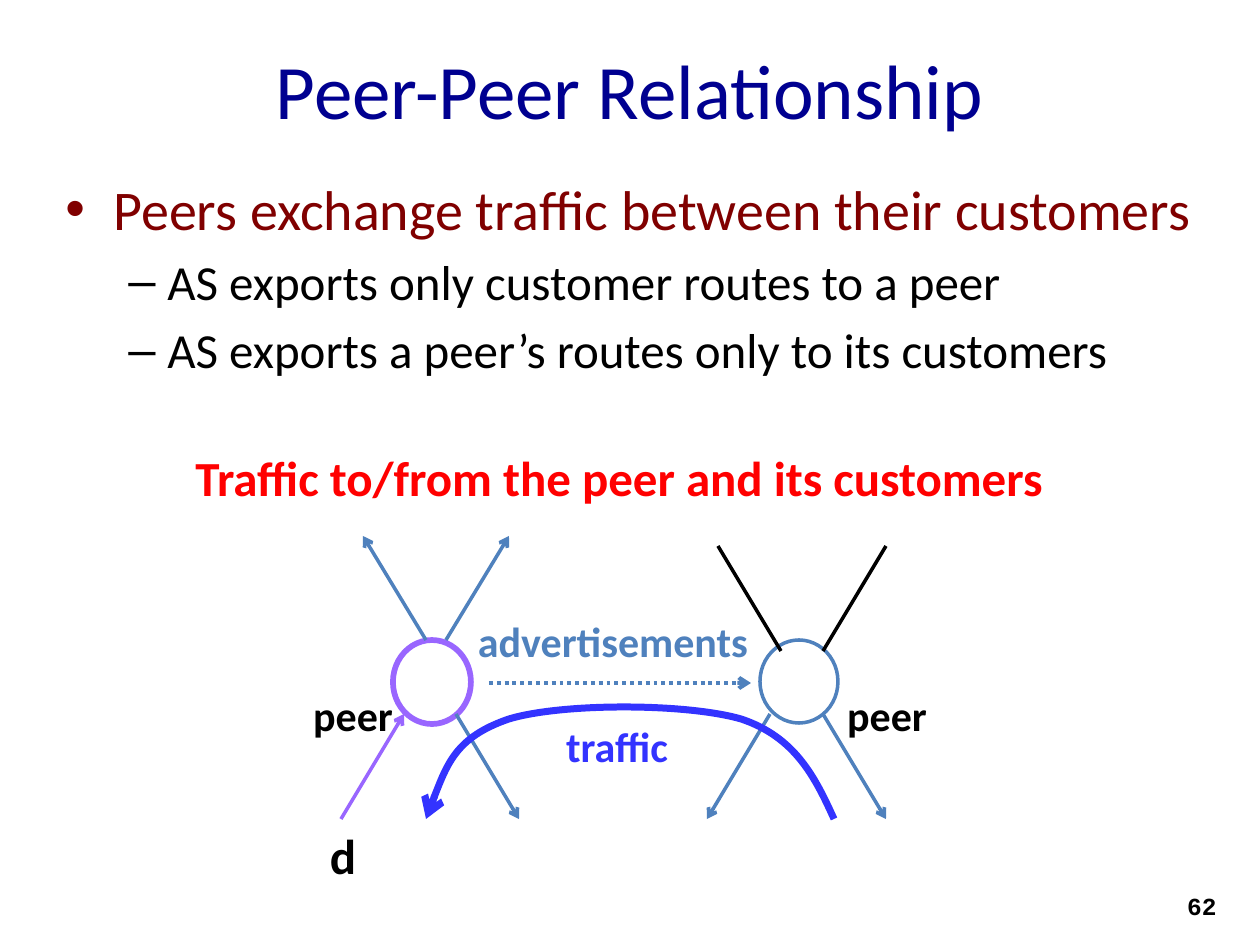
from lxml.etree import SubElement
from pptx import Presentation
from pptx.dml.color import RGBColor
from pptx.enum.dml import MSO_LINE
from pptx.enum.shapes import MSO_CONNECTOR, MSO_SHAPE
from pptx.enum.text import MSO_ANCHOR, PP_ALIGN
from pptx.oxml.ns import qn
from pptx.util import Pt

EMU_PER_PX = 914400 / 126

NAVY = RGBColor(0x00, 0x00, 0x90)
MAROON = RGBColor(0x80, 0x00, 0x00)
BLACK = RGBColor(0x00, 0x00, 0x00)
RED = RGBColor(0xFF, 0x00, 0x00)
PURPLE = RGBColor(0x99, 0x66, 0xFF)
STEEL = RGBColor(0x4F, 0x81, 0xBD)
BLUE = RGBColor(0x33, 0x33, 0xFF)

TITLE = ("Peer-Peer Relationship", (63, 10, 1134, 158), 44, NAVY)
BODY_AREA = (53, 168, 1176, 677)
BULLETS = [
    ("Peers exchange traffic between their customers", 0),
    ("AS exports only customer routes to a peer", 1),
    ("AS exports a peer’s routes only to its customers", 1),
]
LEVELS = [("•", 32, MAROON, 48, 48), ("–", 28, BLACK, 102, 39)]
LABELS = [
    ("peer", (834, 683, 106, 64), 24, BLACK),
    ("peer", (300, 683, 106, 64), 24, BLACK),
    ("Traffic to/from the peer and its customers", (178, 441, 882, 72), 28, RED),
    ("d", (317, 819, 52, 72), 28, BLACK),
    ("advertisements", (464, 609, 298, 64), 24, STEEL),
    ("traffic", (553, 714, 128, 64), 24, BLUE),
]
PAGE_NUMBER = ("62", (935, 885, 294, 50), 14, BLACK)
PEERS = [((393, 640, 78, 84), PURPLE, 3.25), ((760, 640, 78, 83), STEEL, 2)]
LINKS = [
    ((341, 819), (404, 714), PURPLE, True),
    ((718, 546), (781, 651), BLACK, False),
    ((886, 546), (823, 651), BLACK, False),
    ((823, 714), (886, 819), STEEL, True),
    ((770, 714), (707, 819), STEEL, True),
    ((426, 640), (363, 536), STEEL, True),
    ((446, 640), (509, 536), STEEL, True),
    ((456, 714), (519, 819), STEEL, True),
]
ADVERTISEMENT = ((489, 683), (751, 683), STEEL, True)
TRAFFIC_CURVE = [
    (426, 819), (441, 777), (456, 737), (509, 719), (562, 703),
    (685, 703), (741, 719), (795, 737), (815, 777), (834, 819),
]


def px(*values):
    return [round(value * EMU_PER_PX) for value in values]


def format_paragraph(para, size, color, bold=False, font="Calibri"):
    for span in para.runs:
        span.font.size = Pt(size)
        span.font.name = font
        span.font.bold = bold
        span.font.color.rgb = color


def add_text(page, label, align=PP_ALIGN.CENTER, anchor=MSO_ANCHOR.TOP, wrap=False, **style):
    text, area, size, color = label
    box = page.shapes.add_textbox(*px(*area))
    frame = box.text_frame
    frame.word_wrap = wrap
    frame.vertical_anchor = anchor
    frame.text = text
    frame.paragraphs[0].alignment = align
    format_paragraph(frame.paragraphs[0], size, color, **style)


def add_bullets(page):
    frame = page.shapes.add_textbox(*px(*BODY_AREA)).text_frame
    frame.word_wrap = True
    frame.text = "\n".join(text for text, level in BULLETS)
    for para, (text, level) in zip(frame.paragraphs, BULLETS):
        mark, size, color, margin, hanging = LEVELS[level]
        para.level = level
        para.space_before = Pt(size * 0.2)
        format_paragraph(para, size, color)
        properties = para._p.get_or_add_pPr()
        left, indent = px(margin, -hanging)
        properties.set("marL", str(left))
        properties.set("indent", str(indent))
        SubElement(properties, qn("a:buFont"), typeface="Arial")
        SubElement(properties, qn("a:buChar"), char=mark)


def style_line(shape, color, width):
    shape.line.color.rgb = color
    shape.line.width = Pt(width)


def add_arrowhead(shape, end):
    SubElement(shape.line._get_or_add_ln(), qn(f"a:{end}"), type="arrow")


def add_link(page, link, width=2, dash=None):
    start, end, color, arrow = link
    connector = page.shapes.add_connector(MSO_CONNECTOR.STRAIGHT, *px(*start, *end))
    style_line(connector, color, width)
    if dash:
        connector.line.dash_style = dash
    if arrow:
        add_arrowhead(connector, "tailEnd")
    SubElement(connector._element.spPr, qn("a:effectLst"))


def add_peer(page, area, color, width):
    circle = page.shapes.add_shape(MSO_SHAPE.OVAL, *px(*area))
    circle.shadow.inherit = False
    circle.fill.background()
    style_line(circle, color, width)


def add_traffic_curve(page):
    first, *rest = [px(*point) for point in TRAFFIC_CURVE]
    builder = page.shapes.build_freeform(*first)
    builder.add_line_segments(rest, close=False)
    curve = builder.convert_to_shape()
    outline = next(curve._element.iter(qn("a:path")))
    segments = outline.findall(qn("a:lnTo"))
    for index in range(0, len(segments), 3):
        bezier = SubElement(outline, qn("a:cubicBezTo"))
        for segment in segments[index:index + 3]:
            bezier.append(segment[0])
            outline.remove(segment)
    curve.shadow.inherit = False
    curve.fill.background()
    style_line(curve, BLUE, 4)
    add_arrowhead(curve, "headEnd")


def main():
    deck = Presentation()
    deck.slide_width, deck.slide_height = px(1260, 945)
    page = deck.slides.add_slide(deck.slide_layouts[6])
    add_text(page, TITLE, anchor=MSO_ANCHOR.MIDDLE, wrap=True)
    add_bullets(page)
    for peer in PEERS:
        add_peer(page, *peer)
    for link in LINKS:
        add_link(page, link)
    add_link(page, ADVERTISEMENT, 2.25, MSO_LINE.ROUND_DOT)
    add_traffic_curve(page)
    for label in LABELS:
        add_text(page, label, bold=True)
    add_text(page, PAGE_NUMBER, PP_ALIGN.RIGHT, wrap=True, bold=True, font="Courier New")
    deck.save("out.pptx")


if __name__ == "__main__":
    main()
